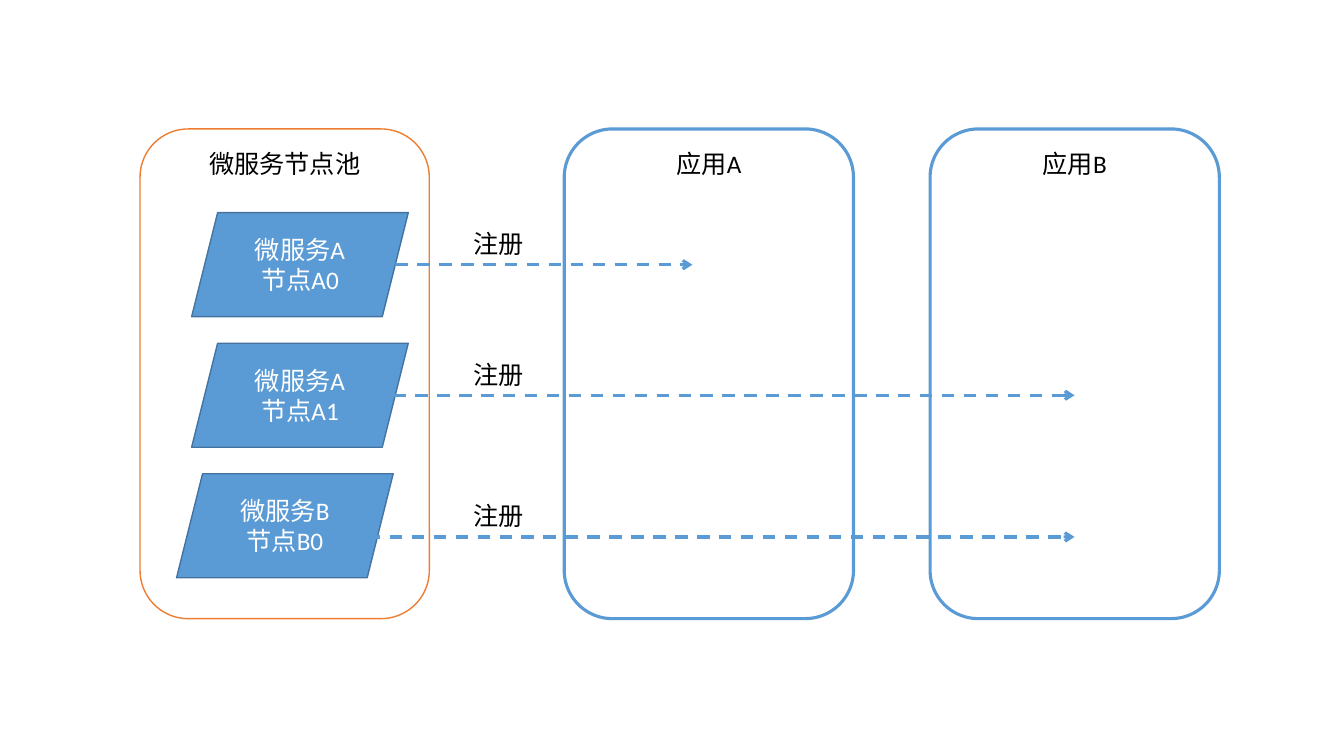
from lxml import etree
from pptx import Presentation
from pptx.dml.color import RGBColor
from pptx.enum.dml import MSO_LINE
from pptx.enum.shapes import MSO_CONNECTOR, MSO_SHAPE
from pptx.enum.text import MSO_ANCHOR, MSO_AUTO_SIZE, PP_ALIGN
from pptx.oxml.ns import qn
from pptx.util import Cm, Pt

BLUE = "5B9BD5"


def paint(fmt, color):
    if hasattr(fmt, "solid"):
        fmt.solid()
        fmt = fmt.fore_color
    fmt.rgb = RGBColor.from_string(color)


def write(sp, text, color, align, anchor):
    tf = sp.text_frame
    tf.text = text
    tf.vertical_anchor = anchor
    for p in tf.paragraphs:
        p.alignment = align
        for r in p.runs:
            r.font.size = Pt(18)
            r.font.name = "Calibri"
            paint(r.font.color, color)


prs = Presentation()
prs.slide_width, prs.slide_height = Cm(33.87), Cm(19.05)
s = prs.slides.add_slide(prs.slide_layouts[6])

panels = [
    (3.53, "微服务节点池", "ED7D31", 1),
    (14.22, "应用A", BLUE, 2.25),
    (23.44, "应用B", BLUE, 2.25),
]
for x, title, color, width in panels:
    sp = s.shapes.add_shape(MSO_SHAPE.ROUNDED_RECTANGLE, Cm(x), Cm(3.25), Cm(7.29), Cm(12.34))
    sp.shadow.inherit = False
    paint(sp.fill, "FFFFFF")
    paint(sp.line.fill, color)
    sp.line.width = Pt(width)
    write(sp, title, "000000", PP_ALIGN.CENTER, MSO_ANCHOR.TOP)

nodes = [(4.83, "微服务A\n节点A0"), (4.83, "微服务A\n节点A1"), (4.45, "微服务B\n节点B0")]
for i, (x, text) in enumerate(nodes):
    sp = s.shapes.add_shape(MSO_SHAPE.PARALLELOGRAM, Cm(x), Cm(5.36 + 3.29 * i), Cm(5.46), Cm(2.62))
    sp.shadow.inherit = False
    paint(sp.fill, BLUE)
    paint(sp.line.fill, "43739E")
    sp.line.width = Pt(1)
    write(sp, text, "FFFFFF", PP_ALIGN.CENTER, MSO_ANCHOR.MIDDLE)

arrows = [(9.96, 17.45, 6.67), (9.91, 27.08, 9.96), (9.27, 27.08, 13.53)]
for start, end, y in arrows:
    cn = s.shapes.add_connector(MSO_CONNECTOR.STRAIGHT, Cm(start), Cm(y), Cm(end), Cm(y))
    paint(cn.line.fill, BLUE)
    cn.line.width = Pt(2.25)
    cn.line.dash_style = MSO_LINE.DASH
    etree.SubElement(cn.line._get_or_add_ln(), qn("a:tailEnd"), type="arrow")
    etree.SubElement(cn._element.spPr, qn("a:effectLst"))

    label = s.shapes.add_textbox(Cm(11.68), Cm(y - 1.04), Cm(1.78), Cm(1.02))
    label.text_frame.word_wrap = False
    label.text_frame.auto_size = MSO_AUTO_SIZE.SHAPE_TO_FIT_TEXT
    write(label, "注册", "000000", PP_ALIGN.LEFT, MSO_ANCHOR.TOP)

prs.save("out.pptx")
